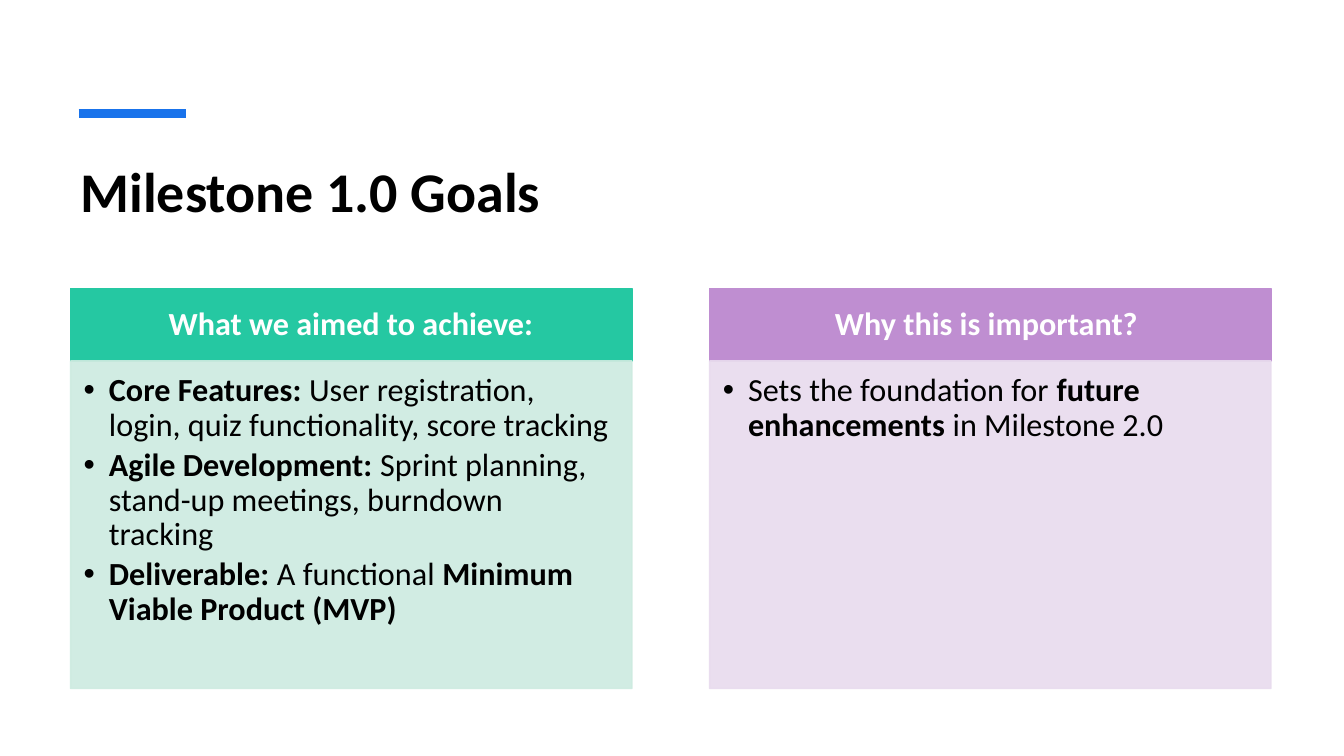
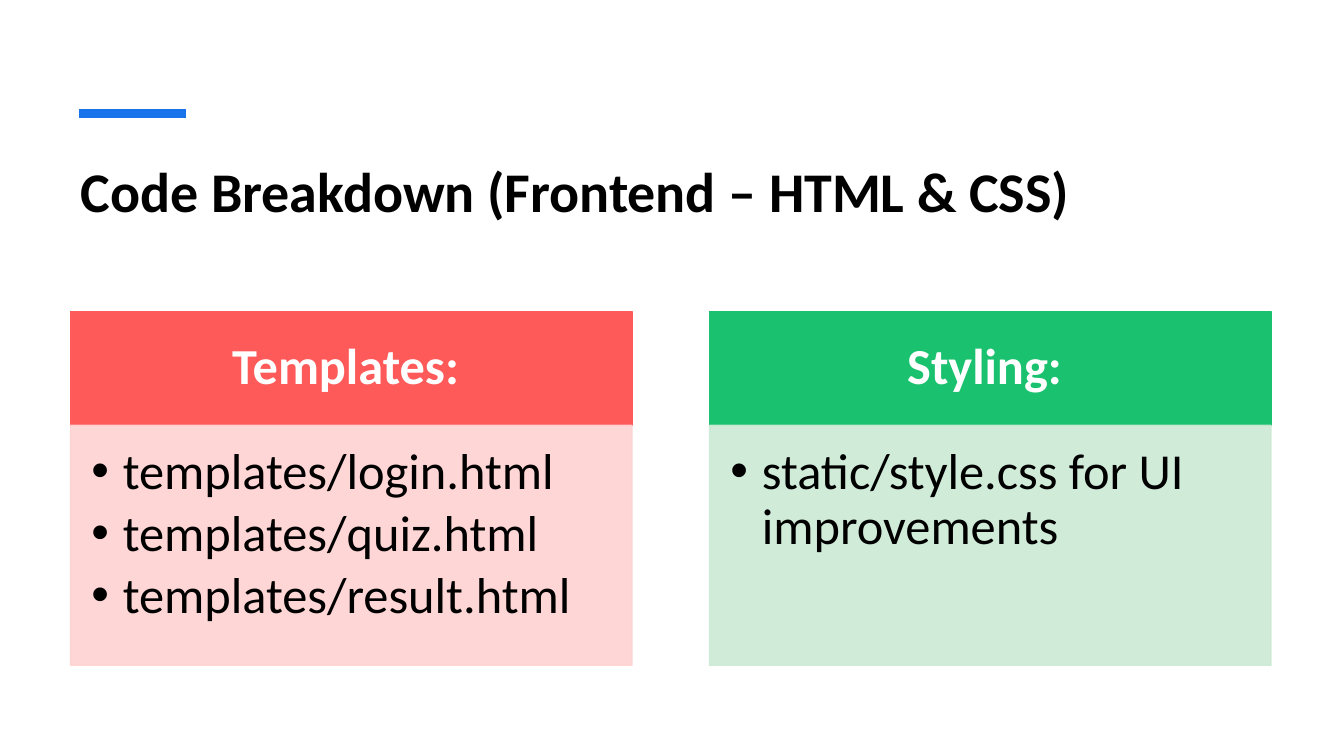
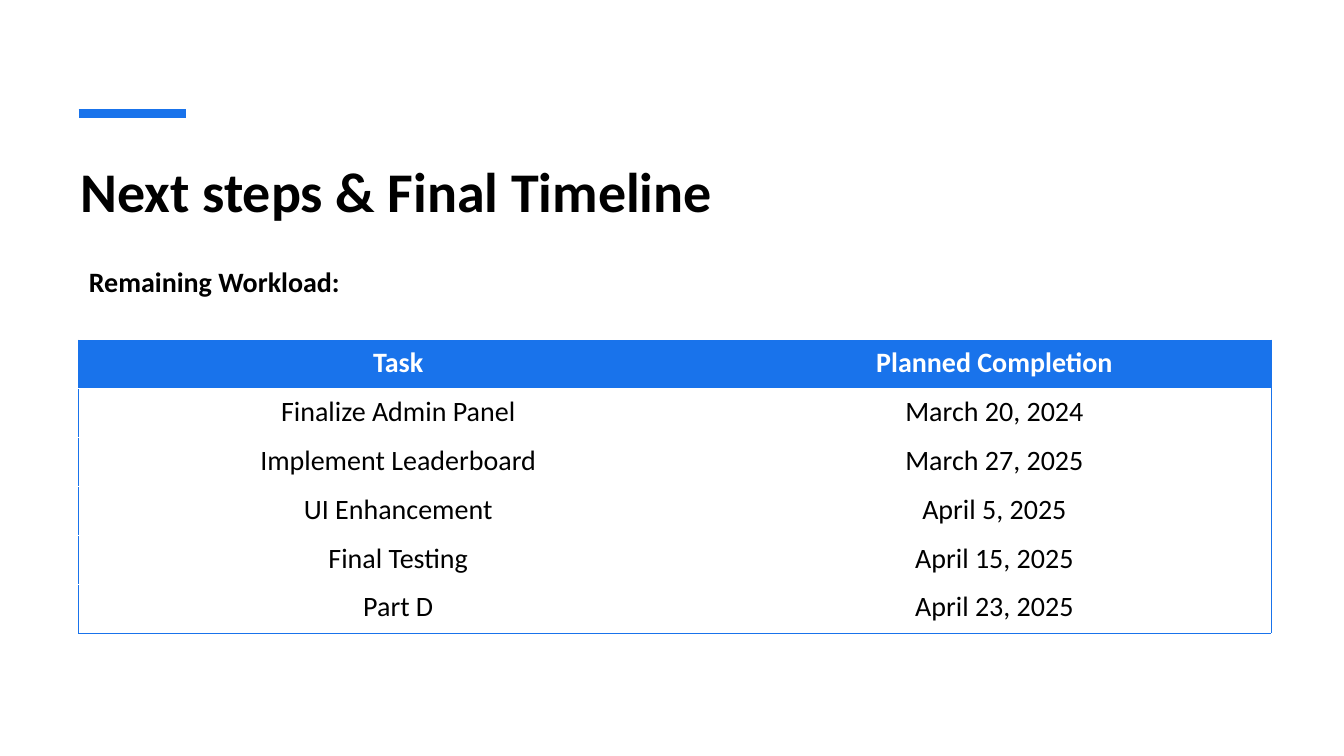
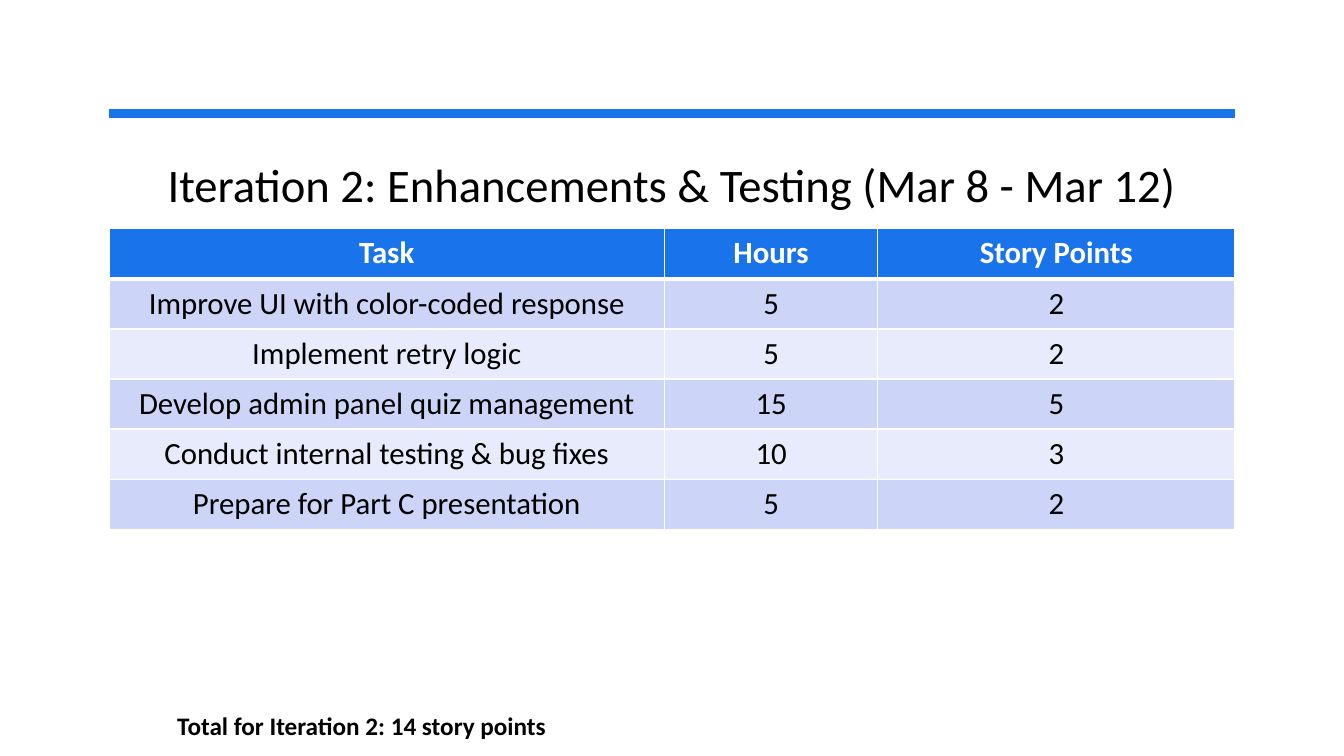
"""Build four project milestone slides with cards and task tables."""
from dataclasses import dataclass
from typing import NamedTuple, Optional

from lxml.etree import SubElement
from pptx import Presentation
from pptx.dml.color import RGBColor
from pptx.enum.shapes import MSO_CONNECTOR as Connector
from pptx.enum.text import MSO_ANCHOR as Anchor, MSO_AUTO_SIZE as AutoSize, PP_ALIGN as Align
from pptx.oxml.ns import qn
from pptx.util import Pt

COLORS = {
    "accent": "1973EB", "text": "000000", "white": "FFFFFF",
    "teal": "25C8A2", "teal_pale": "CDEBE0",
    "purple": "BF8ED1", "purple_pale": "E8DBEE",
    "red": "FE5A5A", "red_pale": "FFD2D2",
    "green": "1AC16E", "green_pale": "CCE9D5",
    "band_dark": "CCD5F7", "band_light": "E8EBFB",
}
FONT = "Calibri"
COMPARISON, TITLE_AND_CONTENT, TITLE_ONLY = 4, 1, 5
CARD_LEFT, CARD_WIDTH, CARD_GAP = 50.4, 401, 55.5
RULE_TOP = 81


class Box(NamedTuple):
    left: float
    top: float
    width: float
    height: float


class Margins(NamedTuple):
    left: float
    top: float
    right: float
    bottom: float


class Span(NamedTuple):
    text: str
    bold: bool = False


@dataclass
class Card:
    heading: str
    color: str
    items: list[list[Span]]


@dataclass
class CardLayout:
    top: float
    heading_height: float
    body_height: float
    size: float
    indent: float


@dataclass
class TaskTable:
    box: Box
    column_widths: list[float]
    rows: list[list[str]]
    size: float
    margin: float
    line_color: str
    line_width: float
    header_line_width: float
    bands: Optional[list[str]] = None
    inner_verticals: bool = True


TITLE_BOX = Box(50.4, 108, 857.5, 86.4)
SHORT_RULE = (56.2, 133.2)


def rgb(name: str) -> RGBColor:
    return RGBColor.from_string(COLORS[name])


def place(shape, box: Box) -> None:
    shape.left, shape.top, shape.width, shape.height = map(Pt, box)


def set_frame(frame, *, anchor=Anchor.TOP, margins: Optional[Margins] = None) -> None:
    frame.word_wrap = True
    frame.auto_size = AutoSize.NONE
    frame.vertical_anchor = anchor
    if margins:
        (frame.margin_left, frame.margin_top,
         frame.margin_right, frame.margin_bottom) = map(Pt, margins)


def write(paragraph, text: str, *, size: float, color: str = "text", bold: bool = False,
          align=None, line_spacing: Optional[float] = None,
          space_after: Optional[float] = None) -> None:
    run = paragraph.add_run()
    run.text = text
    run.font.name, run.font.size, run.font.bold = FONT, Pt(size), bold
    run.font.color.rgb = rgb(color)
    paragraph.space_before = Pt(0)
    if align is not None:
        paragraph.alignment = align
    if line_spacing is not None:
        paragraph.line_spacing = line_spacing
    if space_after is not None:
        paragraph.space_after = Pt(space_after)


def set_bullet(paragraph, indent: float = 0, bullet: str = "") -> None:
    properties = paragraph._p.get_or_add_pPr()
    properties.set("marL", str(Pt(indent)))
    properties.set("indent", str(-Pt(indent)))
    if bullet:
        SubElement(properties, qn("a:buChar")).set("char", bullet)
    else:
        SubElement(properties, qn("a:buNone"))


def paint(shape, color: str, opacity: int = 100) -> None:
    shape.fill.solid()
    shape.fill.fore_color.rgb = rgb(color)
    shape.line.color.rgb = rgb(color)
    shape.line.width = Pt(1)
    if opacity < 100:
        for element in shape._element.spPr.iter(qn("a:srgbClr")):
            SubElement(element, qn("a:alpha")).set("val", str(opacity * 1000))


def add_slide(presentation, layout: int, title: str, *, box: Box = TITLE_BOX,
              size: float = 40, bold: bool = True, align=Align.LEFT,
              rule: tuple[float, float] = SHORT_RULE):
    slide = presentation.slides.add_slide(presentation.slide_layouts[layout])
    place(slide.shapes.title, box)
    frame = slide.shapes.title.text_frame
    set_frame(frame)
    write(frame.paragraphs[0], title, size=size, bold=bold, align=align)
    start, end = rule
    line = slide.shapes.add_connector(
        Connector.STRAIGHT, Pt(start), Pt(RULE_TOP), Pt(end), Pt(RULE_TOP))
    line.line.color.rgb = rgb("accent")
    line.line.width = Pt(6)
    SubElement(line._element.spPr, qn("a:effectLst"))
    return slide


def add_cards(slide, layout: CardLayout, cards: list[Card]) -> None:
    size = layout.size
    side, edge, inner, bottom = (round(size * factor, 1) for factor in (0.56, 0.32, 0.41, 0.64))
    for index, card in enumerate(cards):
        left = CARD_LEFT + index * (CARD_WIDTH + CARD_GAP)
        heading = slide.placeholders[1 + 2 * index]
        body = slide.placeholders[2 + 2 * index]
        place(heading, Box(left, layout.top, CARD_WIDTH, layout.heading_height))
        place(body, Box(left, layout.top + layout.heading_height, CARD_WIDTH, layout.body_height))
        paint(heading, card.color)
        paint(body, card.color + "_pale", 90)
        set_frame(heading.text_frame, anchor=Anchor.MIDDLE,
                  margins=Margins(side, edge, side, edge))
        set_frame(body.text_frame, margins=Margins(inner, inner, side, bottom))
        write(heading.text_frame.paragraphs[0], card.heading, size=size, color="white",
              bold=True, align=Align.CENTER, line_spacing=0.9)
        for number, item in enumerate(card.items):
            frame = body.text_frame
            paragraph = frame.add_paragraph() if number else frame.paragraphs[0]
            set_bullet(paragraph, layout.indent, "•")
            for span in item:
                write(paragraph, span.text, size=size, bold=span.bold,
                      line_spacing=0.9, space_after=round(size * 0.15, 2))


def set_border(cell, side: str, color: str, width: float) -> None:
    line = SubElement(cell._tc.get_or_add_tcPr(), qn(f"a:ln{side}"))
    line.set("w", str(Pt(width)))
    if width:
        fill = SubElement(line, qn("a:solidFill"))
        SubElement(fill, qn("a:srgbClr")).set("val", COLORS[color])
    else:
        SubElement(line, qn("a:noFill"))


def add_task_table(slide, spec: TaskTable) -> None:
    row_count, column_count = len(spec.rows), len(spec.column_widths)
    table = slide.shapes.add_table(row_count, column_count, *map(Pt, spec.box)).table
    for column, width in zip(table.columns, spec.column_widths):
        column.width = Pt(width)
    for row_index, values in enumerate(spec.rows):
        header = row_index == 0
        table.rows[row_index].height = Pt(round(spec.box.height / row_count, 2))
        for column_index, value in enumerate(values):
            cell = table.cell(row_index, column_index)
            cell.margin_left = cell.margin_right = Pt(spec.margin)
            cell.margin_top = cell.margin_bottom = Pt(4.3)
            inner = spec.line_width if spec.inner_verticals else 0
            widths = {
                "L": inner if column_index else spec.line_width,
                "R": inner if column_index < column_count - 1 else spec.line_width,
            }
            if header:
                widths["T"] = spec.line_width
            widths["B"] = spec.header_line_width if header else spec.line_width
            for side, width in widths.items():
                set_border(cell, side, spec.line_color, width)
            if header or spec.bands:
                cell.fill.solid()
                cell.fill.fore_color.rgb = rgb(
                    "accent" if header else spec.bands[(row_index - 1) % len(spec.bands)])
            else:
                cell.fill.background()
            write(cell.text_frame.paragraphs[0], value, size=spec.size,
                  color="white" if header else "text", bold=header, align=Align.CENTER)


def build_goals(presentation) -> None:
    slide = add_slide(presentation, COMPARISON, "Milestone 1.0 Goals")
    add_cards(slide, CardLayout(205.9, 51.9, 234, 23, 18), [
        Card("What we aimed to achieve:", "teal", [
            [Span("Core Features:", True),
             Span(" User registration, login, quiz functionality, score tracking")],
            [Span("Agile Development:", True),
             Span(" Sprint planning, stand-up meetings, burndown tracking")],
            [Span("Deliverable:", True), Span(" A functional "),
             Span("Minimum Viable Product (MVP)", True)],
        ]),
        Card("Why this is important? ", "purple", [
            [Span("Sets the foundation for "), Span("future enhancements", True),
             Span(" in Milestone 2.0")],
        ]),
    ])


def build_frontend(presentation) -> None:
    slide = add_slide(presentation, COMPARISON, "Code Breakdown (Frontend – HTML & CSS)")
    add_cards(slide, CardLayout(222.4, 81.4, 171.4, 36, 22.5), [
        Card("Templates: ", "red", [
            [Span(f"templates/{name}.html")] for name in ("login", "quiz", "result")]),
        Card("Styling: ", "green", [[Span("static/style.css for UI improvements")]]),
    ])


def build_timeline(presentation) -> None:
    slide = add_slide(presentation, TITLE_AND_CONTENT, "Next steps & Final Timeline",
                      box=TITLE_BOX._replace(height=76.3))
    body = slide.placeholders[1]
    place(body, Box(56.2, 180.7, 311.8, 47.5))
    set_frame(body.text_frame)
    paragraph = body.text_frame.paragraphs[0]
    set_bullet(paragraph)
    write(paragraph, "Remaining Workload:", size=20, bold=True, line_spacing=1.2)
    add_task_table(slide, TaskTable(
        Box(56.2, 242.8, 851.8, 209.4), [456.5, 395.3], [
            ["Task", "Planned Completion"],
            ["Finalize Admin Panel", "March 20, 2024"],
            ["Implement Leaderboard", "March 27, 2025"],
            ["UI Enhancement", "April 5, 2025"],
            ["Final Testing", "April 15, 2025"],
            ["Part D", "April 23, 2025"],
        ], size=20, margin=7.9, line_color="accent", line_width=0.5,
        header_line_width=0.5, inner_verticals=False))


def build_iteration(presentation) -> None:
    slide = add_slide(presentation, TITLE_ONLY,
                      "Iteration 2: Enhancements & Testing (Mar 8 - Mar 12)",
                      box=Box(72, 108, 816, 62.6), size=33.3, bold=False,
                      align=Align.CENTER, rule=(77.8, 882))
    add_task_table(slide, TaskTable(
        Box(78, 163.4, 804, 214.8), [396.5, 152.6, 254.9], [
            ["Task", "Hours", "Story Points"],
            ["Improve UI with color-coded response", "5", "2"],
            ["Implement retry logic", "5", "2"],
            ["Develop admin panel quiz management", "15", "5"],
            ["Conduct internal testing & bug fixes", "10", "3"],
            ["Prepare for Part C presentation", "5", "2"],
        ], size=22, margin=8.6, line_color="white", line_width=1,
        header_line_width=3, bands=["band_dark", "band_light"]))
    total = slide.shapes.add_textbox(*map(Pt, Box(119.5, 504, 570.2, 28.8)))
    set_frame(total.text_frame)
    write(total.text_frame.paragraphs[0], "Total for Iteration 2: 14 story points",
          size=18, bold=True)


def main() -> None:
    presentation = Presentation()
    presentation.slide_width, presentation.slide_height = Pt(960), Pt(540)
    for build in (build_goals, build_frontend, build_timeline, build_iteration):
        build(presentation)
    presentation.save("out.pptx")


if __name__ == "__main__":
    main()
